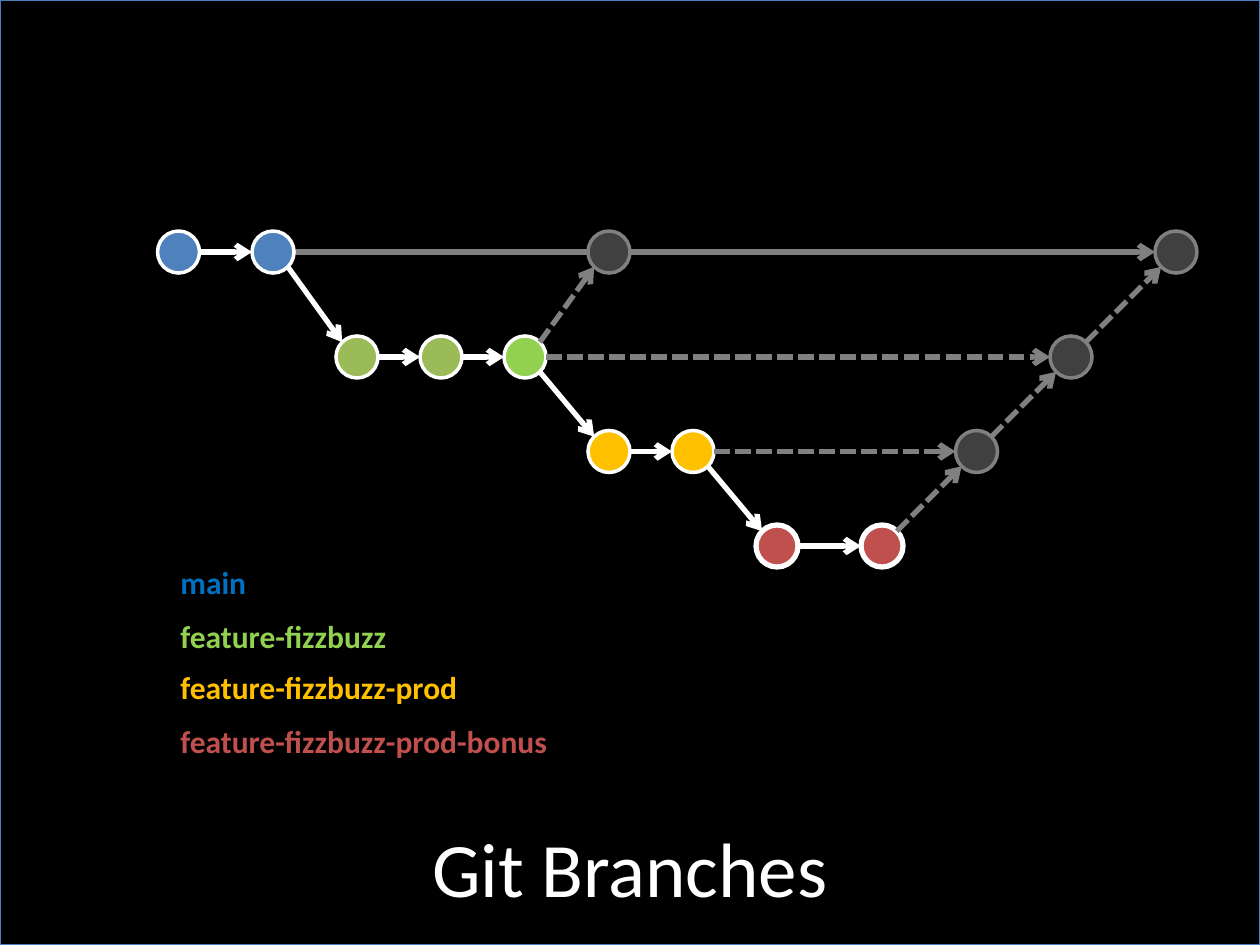
from dataclasses import dataclass
from math import sqrt

from lxml.etree import SubElement
from pptx import Presentation
from pptx.dml.color import RGBColor
from pptx.enum.dml import MSO_LINE
from pptx.enum.shapes import MSO_CONNECTOR, MSO_SHAPE
from pptx.enum.text import MSO_ANCHOR, MSO_AUTO_SIZE, PP_ALIGN
from pptx.oxml.ns import qn
from pptx.util import Inches, Pt


@dataclass(frozen=True)
class Theme:
    """Colours, type and line sizes of the slide."""
    font: str = "Calibri"
    title: int = 44
    label: int = 18
    edge: int = 3
    back: str = "000000"
    frame: str = "4B7EBC"
    ink: str = "FFFFFF"
    grey: str = "808080"
    dim: str = "404040"
    blue: str = "4F81BD"
    main: str = "0070C0"
    olive: str = "9BBB59"
    lime: str = "92D050"
    gold: str = "FFC000"
    red: str = "C0504D"


T = Theme()
COLS, ROWS, DOT = 120, 90, 4
LANES = (24, 34, 43, 52)

NODES = {
    "m1": (17, 0, T.blue), "m2": (26, 0, T.blue),
    "m3": (58, 0, T.dim), "m4": (112, 0, T.dim),
    "f1": (34, 1, T.olive), "f2": (42, 1, T.olive),
    "f3": (50, 1, T.lime), "f4": (102, 1, T.dim),
    "p1": (58, 2, T.gold), "p2": (66, 2, T.gold), "p3": (93, 2, T.dim),
    "b1": (74, 3, T.red), "b2": (84, 3, T.red),
}
DONE = ("m1 m2", "m2 f1", "f1 f2", "f2 f3", "f3 p1", "p1 p2", "p2 b1", "b1 b2")
NEXT = ("f3 f4", "f3 m3", "p2 p3", "b2 p3", "p3 f4", "f4 m4")
LABELS = (
    ("main", 53, 8.8, T.main),
    ("feature-fizzbuzz", 58.2, 22.2, T.lime),
    ("feature-fizzbuzz-prod", 63, 29, T.gold),
    ("feature-fizzbuzz-prod-bonus", 68.2, 37.7, T.red),
)


def grid(*cells):
    """Turn grid cells of a twelfth of an inch into lengths."""
    return [Inches(cell / 12) for cell in cells]


def tint(code):
    """Give the colour for a hex code."""
    return RGBColor.from_string(code)


def add_form(slide, kind, box, fill, line, width):
    """Add a filled, outlined shape without a shadow."""
    form = slide.shapes.add_shape(kind, *grid(*box))
    form.shadow.inherit = False
    form.fill.solid()
    form.fill.fore_color.rgb = tint(fill)
    form.line.color.rgb = tint(line)
    form.line.width = Pt(width)


def add_node(slide, col, lane, fill):
    """Add one commit, centred on its column and lane."""
    box = (col - DOT / 2, LANES[lane] - DOT / 2, DOT, DOT)
    line = T.grey if fill == T.dim else T.ink
    width = 3 if fill == T.red else 2
    add_form(slide, MSO_SHAPE.OVAL, box, fill, line, width)


def add_edge(slide, pair, color, dash=None):
    """Add an arrow between the rims of two commits."""
    (x1, a, _), (x2, b, _) = (NODES[name] for name in pair.split())
    y1, y2 = LANES[a], LANES[b]
    dx = DOT / 2 if a == b else DOT / 2 / sqrt(2)
    dy = 0 if a == b else dx if b > a else -dx
    ends = grid(x1 + dx, y1 + dy, x2 - dx, y2 - dy)
    edge = slide.shapes.add_connector(MSO_CONNECTOR.STRAIGHT, *ends)
    edge.line.color.rgb = tint(color)
    edge.line.width = Pt(T.edge)
    if dash:
        edge.line.dash_style = dash
    SubElement(edge.line._get_or_add_ln(), qn("a:tailEnd"), type="arrow")
    SubElement(edge._element.spPr, qn("a:effectLst"))


def add_text(slide, text, box, size, color, bold=False):
    """Add a text box of one line and return it."""
    area = slide.shapes.add_textbox(*grid(*box))
    line = area.text_frame.paragraphs[0]
    line.text = text
    line.font.name = T.font
    line.font.size = Pt(size)
    line.font.bold = bold
    line.font.color.rgb = tint(color)
    return area


def add_label(slide, text, top, width, color):
    """Add the name of a branch in its colour."""
    area = add_text(slide, text, (16, top, width, 4.8), T.label, color, True)
    area.text_frame.word_wrap = False
    area.text_frame.auto_size = MSO_AUTO_SIZE.SHAPE_TO_FIT_TEXT


def add_title(slide, text):
    """Add the centred title at the foot."""
    frame = add_text(slide, text, (6, 75, 108, 15), T.title, T.ink).text_frame
    frame.word_wrap = True
    frame.vertical_anchor = MSO_ANCHOR.MIDDLE
    frame.paragraphs[0].alignment = PP_ALIGN.CENTER


def main():
    """Build the slide and save it."""
    deck = Presentation()
    deck.slide_width, deck.slide_height = grid(COLS, ROWS)
    slide = deck.slides.add_slide(deck.slide_layouts[6])
    add_form(slide, MSO_SHAPE.RECTANGLE, (0, 0, COLS, ROWS), T.back, T.frame, 0.75)
    add_edge(slide, "m2 m4", T.grey)
    for node in NODES.values():
        add_node(slide, *node)
    for pair in DONE:
        add_edge(slide, pair, T.ink)
    for pair in NEXT:
        add_edge(slide, pair, T.grey, MSO_LINE.SQUARE_DOT)
    for label in LABELS:
        add_label(slide, *label)
    add_title(slide, "Git Branches")
    deck.save("out.pptx")


if __name__ == "__main__":
    main()
